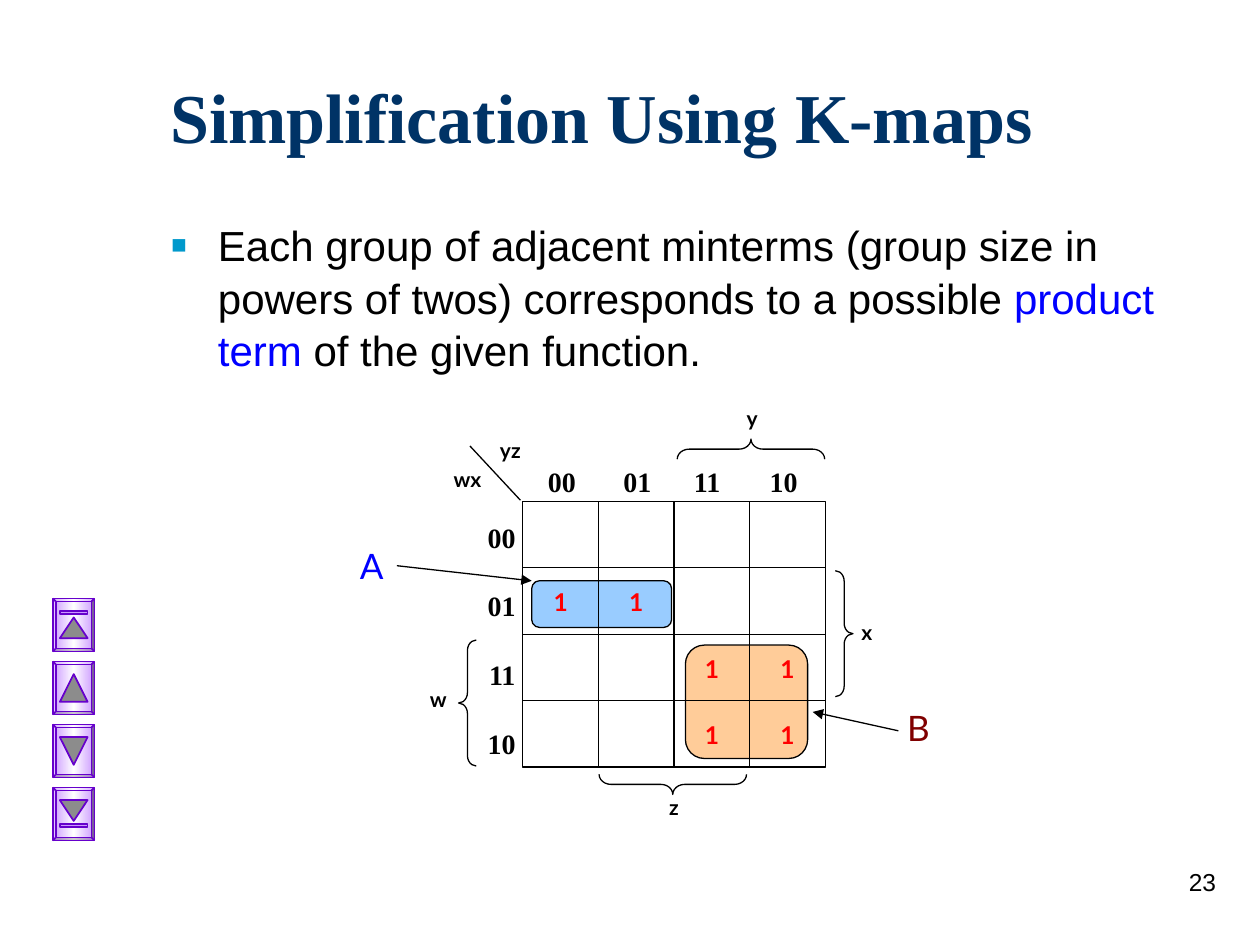
import lxml.etree
import pptx
import pptx.dml.color
import pptx.enum.shapes
import pptx.enum.text
import pptx.oxml
import pptx.oxml.ns
import pptx.util

SHAPE = pptx.enum.shapes.MSO_SHAPE
ALIGN = pptx.enum.text.PP_ALIGN
ANCHOR = pptx.enum.text.MSO_ANCHOR
BLACK, BLUE, RED, PURPLE = "000000", "0000FF", "FF0000", "6600CC"
MAP_LEFT, MAP_TOP, CELL_W, CELL_H = 41.5, 39.8, 6, 5.27


def rgb(color):
    """Turn a hex string into a colour."""
    return pptx.dml.color.RGBColor.from_string(color)


def add_xml(parent, tag, **attrs):
    """Append a drawing element and return it."""
    return lxml.etree.SubElement(parent, pptx.oxml.ns.qn("a:" + tag), attrs)


def write(tf, paragraphs, size=12, font="Lato", color=BLACK, bold=False,
          align=ALIGN.CENTER, gap=0, line=None, tabs=(), bullet=None):
    """Fill a text frame; a paragraph is a string or a list of (text, colour)."""
    tf.word_wrap = True
    tf.auto_size = pptx.enum.text.MSO_AUTO_SIZE.NONE
    for i, runs in enumerate(paragraphs):
        p = tf.paragraphs[0] if i == 0 else tf.add_paragraph()
        pPr = p._p.get_or_add_pPr()
        if bullet:
            char, bullet_color, percent, indent = bullet
            pPr.set("marL", str(pptx.util.Inches(indent)))
            pPr.set("indent", str(-pptx.util.Inches(indent)))
            add_xml(add_xml(pPr, "buClr"), "srgbClr", val=bullet_color)
            add_xml(pPr, "buSzPct", val=str(percent * 1000))
            add_xml(pPr, "buFont", typeface=font)
            add_xml(pPr, "buChar", char=char)
        if tabs:
            stops = add_xml(pPr, "tabLst")
            for tab in tabs:
                add_xml(stops, "tab", pos=str(pptx.util.Inches(tab)), algn="l")
        p.alignment = align
        p.space_before = pptx.util.Pt(gap if i else 0)
        if line:
            p.line_spacing = line
        for text, run_color in [(runs, color)] if isinstance(runs, str) else runs:
            r = p.add_run()
            r.text = text
            r.font.size, r.font.name, r.font.bold = pptx.util.Pt(size), font, bold
            r.font.color.rgb = rgb(run_color)


class SlideBuilder:
    """Draws elements on a slide divided into 100 columns and 75 rows."""

    def __init__(self, prs, layout):
        """Add a slide and derive the grid from the slide's size."""
        self.s = prs.slides.add_slide(prs.slide_layouts[layout])
        self.col, self.row = prs.slide_width / 100, prs.slide_height / 75
        self.line_color, self.line_width = BLACK, 0.75

    def area(self, x, y, w, h):
        """Convert columns and rows to slide lengths."""
        return [round(n * unit) for n, unit in
                zip((x, y, w, h), (self.col, self.row) * 2)]

    def placeholder(self, index, box, paragraphs, anchor, **style):
        """Move and fill a template placeholder."""
        sp = self.s.placeholders[index]
        sp.left, sp.top, sp.width, sp.height = self.area(*box)
        write(sp.text_frame, paragraphs, **style)
        sp.text_frame.vertical_anchor = anchor

    def text(self, x, y, w, h, *paragraphs, **style):
        """Add a text box."""
        sp = self.s.shapes.add_textbox(*self.area(x, y, w, h))
        write(sp.text_frame, paragraphs, **style)

    def shape(self, kind, x, y, w, h, fill=None, line=None, width=None,
              rotation=0, adjust=()):
        """Add a preset shape."""
        sp = self.s.shapes.add_shape(kind, *self.area(x, y, w, h))
        sp.shadow.inherit = False
        sp.rotation = rotation
        for i, value in enumerate(adjust):
            sp.adjustments[i] = value
        if fill:
            sp.fill.solid()
            sp.fill.fore_color.rgb = rgb(fill)
        else:
            sp.fill.background()
        sp.line.color.rgb = rgb(line or self.line_color)
        sp.line.width = pptx.util.Pt(width or self.line_width)
        return sp

    def line(self, x1, y1, x2, y2, arrow=False):
        """Add a straight line, with an arrowhead at its end if asked."""
        ends = self.area(x1, y1, x2, y2)
        sp = self.s.shapes.add_connector(
            pptx.enum.shapes.MSO_CONNECTOR.STRAIGHT, *ends)
        sp.line.color.rgb = rgb(self.line_color)
        sp.line.width = pptx.util.Pt(self.line_width)
        if arrow:
            add_xml(sp.line._get_or_add_ln(), "tailEnd", type="triangle")
        add_xml(sp._element.spPr, "effectLst")

    def brace(self, kind, x, y, w, h, rotation=0):
        """Add a curly brace."""
        self.shape(kind, x, y, w, h, rotation=rotation, adjust=(0.59, 0.5))

    def button(self, y, down, bar):
        """Add a bevelled navigation button with a triangle and optional bar."""
        style = {"line": PURPLE, "width": 1}
        sp = self.shape(SHAPE.BEVEL, 4.2, y, 3.3, 4.2, adjust=(0.07,), **style)
        sp.fill.gradient()
        sp.fill.gradient_angle = 0
        stops = sp.fill._fill._gradFill.gsLst
        for stop in list(stops):
            stops.remove(stop)
        for pos, color in ((0, "CC99FF"), (50, "FFFFFF"), (100, "CC99FF")):
            add_xml(add_xml(stops, "gs", pos=str(pos * 1000)), "srgbClr", val=color)
        height = 1.65 if bar else 2.2
        offset = 1.5 if bar and not down else 1
        self.shape(SHAPE.ISOSCELES_TRIANGLE, 4.75, y + offset, 2.2, height,
                   fill="8C8C8C", rotation=180 if down else 0, **style)
        if bar:
            self.shape(SHAPE.RECTANGLE, 4.75, y + (2.9 if down else 1), 2.2, 0.25,
                       fill="CC99FF", **style)


def draw_map(b):
    """Draw the four-variable map with its groups and labels."""
    b.shape(SHAPE.FLOWCHART_ALTERNATE_PROCESS, 54.4, 51.2, 9.7, 9, fill="FFCC99")
    b.shape(SHAPE.FLOWCHART_ALTERNATE_PROCESS, 42.2, 46.1, 11.1, 3.7, fill="99CCFF")
    right, bottom = MAP_LEFT + 4 * CELL_W, MAP_TOP + 4 * CELL_H
    b.shape(SHAPE.RECTANGLE, MAP_LEFT, MAP_TOP, 4 * CELL_W, 4 * CELL_H)
    for i in range(1, 4):
        x, y = MAP_LEFT + i * CELL_W, MAP_TOP + i * CELL_H
        b.line(x, MAP_TOP, x, bottom)
        b.line(MAP_LEFT, y, right, y)
    for col, row in ((0, 1), (1, 1), (2, 2), (3, 2), (2, 3), (3, 3)):
        b.text(MAP_LEFT + col * CELL_W, MAP_TOP + row * CELL_H + 1.05, CELL_W, 4.2,
               "1", size=14, color=RED, bold=True)

    heading = {"size": 16, "font": "Times New Roman", "bold": True}
    b.text(37.5, 40.8, 4.4, 21.9, "00", "01", "11", "10",
           align=ALIGN.RIGHT, gap=20, **heading)
    b.text(42.5, 36.4, 22.4, 4.2, "00\t01\t11\t10",
           align=ALIGN.LEFT, tabs=(0.6, 1.16, 1.76), **heading)
    b.line(41.3, 39.7, 37.3, 35.4)

    b.brace(SHAPE.LEFT_BRACE, 36.4, 50.8, 1.4, 10)
    b.brace(SHAPE.RIGHT_BRACE, 66.3, 45.3, 1.4, 10)
    b.brace(SHAPE.LEFT_BRACE, 58.8, 29.8, 1.6, 11.7, rotation=90)
    b.brace(SHAPE.LEFT_BRACE, 52.6, 56.4, 1.6, 11.7, rotation=270)
    for name, x, y, w, h in (("w", 32.6, 54, 4.4, 4.2), ("x", 66.6, 48.7, 4.4, 4.2),
                             ("y", 57.5, 31.7, 4.4, 3.2), ("z", 51.3, 62.6, 4.4, 3.2),
                             ("wx", 34.5, 36.5, 5.2, 3.8),
                             ("yz", 37.9, 34.2, 5.2, 3.4)):
        b.text(x, y, w, h, name, bold=True)

    b.text(27.5, 42.7, 4, 5.3, "A", size=20, color=BLUE)
    b.text(70.9, 55.6, 4, 5.3, "B", size=20, color="800000")
    b.line(31.5, 44.9, 42.2, 46.1, arrow=True)
    b.line(71.3, 58, 64.5, 56.5, arrow=True)


def main():
    """Build and save the slide."""
    prs = pptx.Presentation()
    prs.slide_width, prs.slide_height = pptx.util.Inches(10), pptx.util.Inches(7.5)
    b = SlideBuilder(prs, 1)
    b.placeholder(0, (12.5, 5, 85, 8.4), ["Simplification Using K-maps"],
                  ANCHOR.MIDDLE, size=40, font="Times New Roman", color="003366",
                  bold=True, align=ALIGN.LEFT)
    statement = [("Each group of adjacent minterms (group size in powers of twos) "
                  "corresponds to a possible ", BLACK),
                 ("product term", BLUE), (" of the given function.", BLACK)]
    b.placeholder(1, (12.5, 16.7, 85, 14.2), [statement], ANCHOR.TOP, size=24,
                  font="Arial", align=ALIGN.LEFT, line=1.05,
                  bullet=("▪", "0099CC", 120, 0.38))
    draw_map(b)
    for i, (down, bar) in enumerate(((False, True), (False, False),
                                     (True, False), (True, True))):
        b.button(47.5 + 5 * i, down, bar)
    b.text(76.7, 68.3, 20.8, 5, "23", size=14, font="Arial", align=ALIGN.RIGHT)
    prs.save("out.pptx")


if __name__ == "__main__":
    main()
